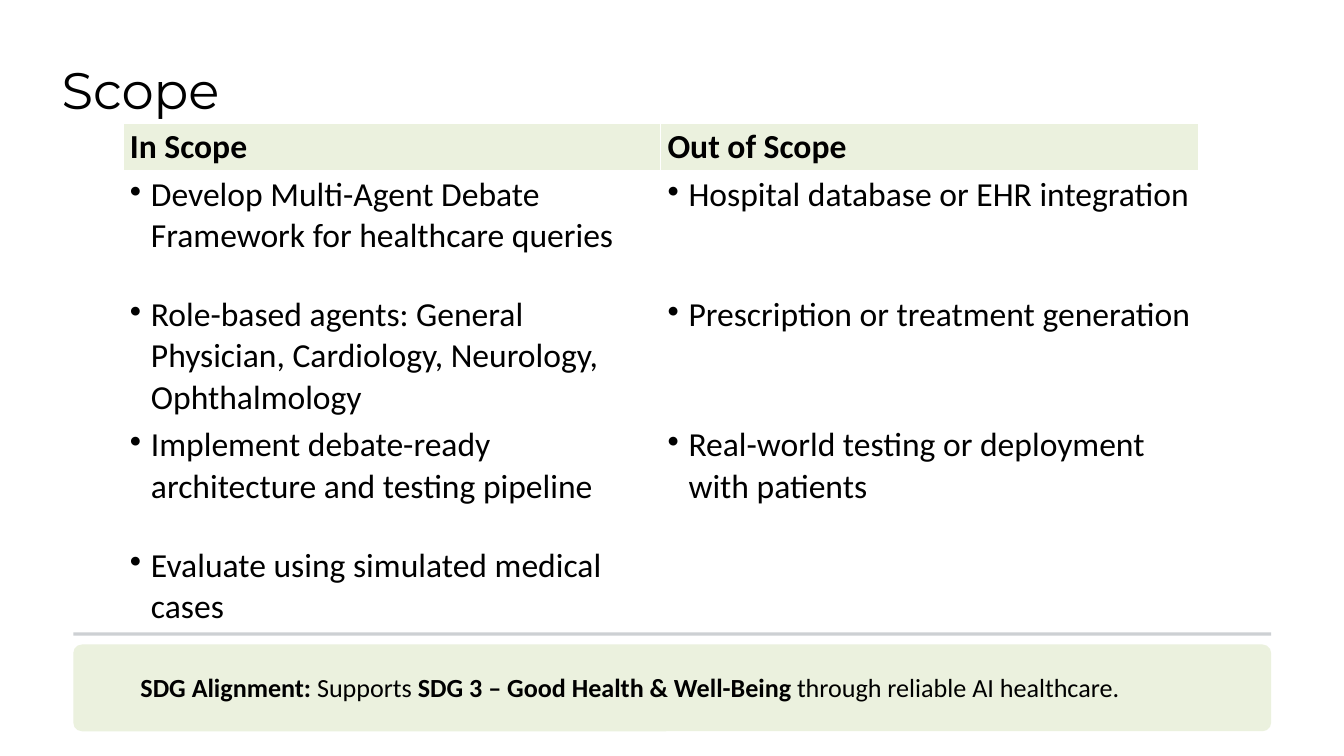
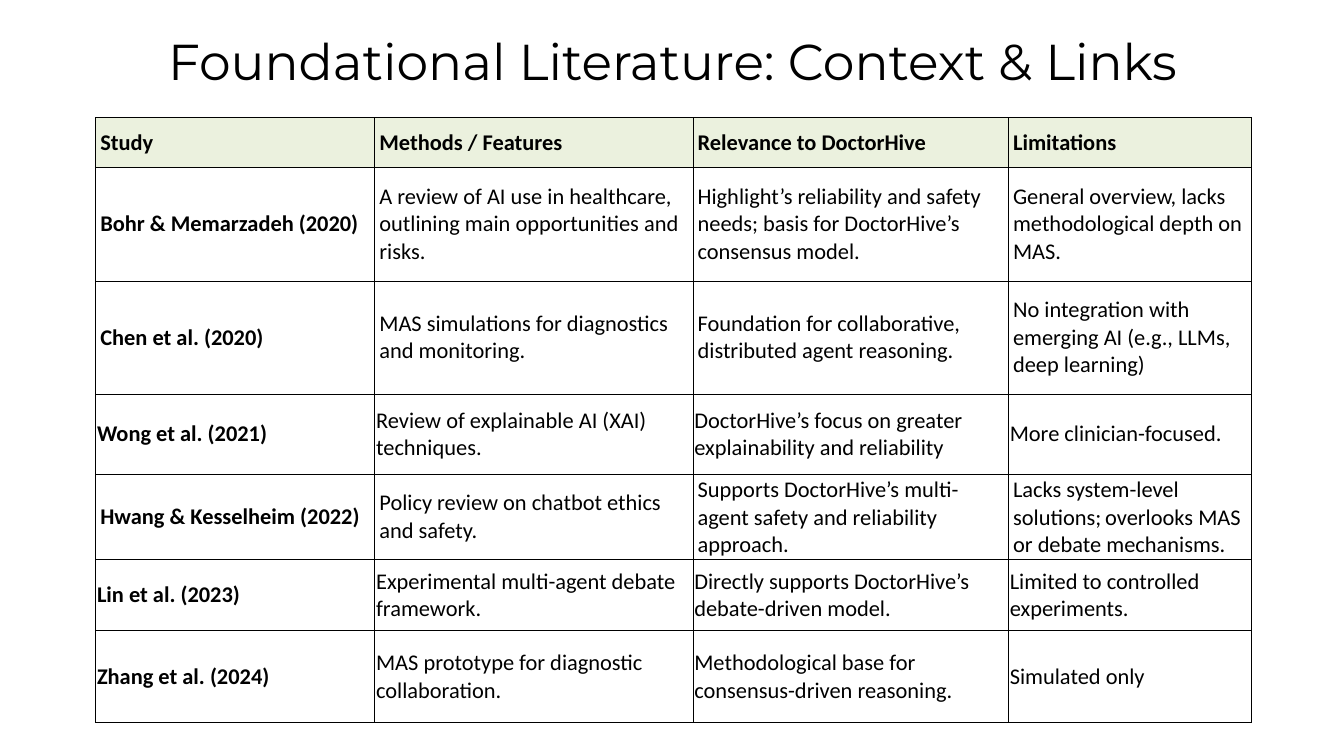
import pptx
import pptx.util
import pptx.dml.color
import pptx.enum.shapes
import pptx.enum.text
import pptx.oxml
import pptx.oxml.ns

Pt = pptx.util.Pt
RGB = pptx.dml.color.RGBColor
ALIGN = pptx.enum.text.PP_ALIGN
SHAPE = pptx.enum.shapes.MSO_SHAPE

BLACK = RGB(0x00, 0x00, 0x00)
WHITE = RGB(0xFF, 0xFF, 0xFF)
GREEN = RGB(0xEB, 0xF1, 0xDE)
SLATE = RGB(0x38, 0x46, 0x53)
BODY = "Calibri"
HEAD = "Montserrat"

WIDE = (5, 2.5)
TIGHT = (1.5, 0.75)

SCOPE = [
    ("In Scope", "Out of Scope"),
    ("Develop Multi-Agent Debate Framework for healthcare queries",
     "Hospital database or EHR integration"),
    ("Role-based agents: General Physician, Cardiology, Neurology, Ophthalmology",
     "Prescription or treatment generation"),
    ("Implement debate-ready architecture and testing pipeline",
     "Real-world testing or deployment with patients"),
    ("Evaluate using simulated medical cases", ""),
]

STUDIES = [
    ("Study", "Methods / Features", "Relevance to DoctorHive", "Limitations"),
    ("Bohr & Memarzadeh (2020)",
     "A review of AI use in healthcare, outlining main opportunities and risks.",
     "Highlight’s reliability and safety needs; basis for DoctorHive’s consensus model.",
     "General overview, lacks methodological depth on MAS."),
    ("Chen et al. (2020)",
     "MAS simulations for diagnostics and monitoring.",
     "Foundation for collaborative, distributed agent reasoning.",
     "No integration with emerging AI (e.g., LLMs, deep learning)"),
    ("Wong et al. (2021)",
     "Review of explainable AI (XAI) techniques.",
     "DoctorHive’s focus on greater explainability and reliability",
     "More clinician-focused."),
    ("Hwang & Kesselheim (2022)",
     "Policy review on chatbot ethics and safety.",
     "Supports DoctorHive’s multi-agent safety and reliability approach.",
     ""),
    ("Lin et al. (2023)",
     "Experimental multi-agent debate framework.",
     "Directly supports DoctorHive’s debate-driven model.",
     "Limited to controlled\nexperiments."),
    ("Zhang et al. (2024)",
     "MAS prototype for diagnostic collaboration.",
     "Methodological base for consensus-driven reasoning.",
     "Simulated only"),
]


def style(run, size, face=BODY, bold=False):
    run.font.size = Pt(size)
    run.font.name = face
    run.font.bold = bold
    run.font.color.rgb = BLACK


def write(frame, text, size, face=BODY, bold=False):
    frame.text = text
    for para in frame.paragraphs:
        for run in para.runs:
            style(run, size, face, bold)


def mix(para, parts):
    for text, size, bold in parts:
        run = para.add_run()
        run.text = text
        style(run, size, bold=bold)


def add_box(slide, left, top, width, height):
    frame = slide.shapes.add_textbox(Pt(left), Pt(top), Pt(width), Pt(height)).text_frame
    frame.word_wrap = True
    frame.margin_left = frame.margin_right = 0
    frame.margin_top = frame.margin_bottom = 0
    return frame


def add_title(slide, text, left, top, width, size, align):
    frame = add_box(slide, left, top, width, 67)
    write(frame, text, size, HEAD)
    para = frame.paragraphs[0]
    para.alignment = align
    para.line_spacing = Pt(69.4)


def add_bar(slide, kind, top, height, color):
    bar = slide.shapes.add_shape(kind, Pt(78.5), Pt(top), Pt(1283.5), Pt(height))
    bar.shadow.inherit = False
    bar.fill.solid()
    bar.fill.fore_color.rgb = color
    bar.line.fill.background()
    return bar


def fade(shape, percent):
    color = shape.fill._xPr.find(".//" + pptx.oxml.ns.qn("a:srgbClr"))
    alpha = pptx.oxml.parse_xml(
        f'<a:alpha {pptx.oxml.ns.nsdecls("a")} val="{percent * 1000}"/>')
    color.append(alpha)


def edge(cell, color, low=1):
    props = cell._tc.get_or_add_tcPr()
    for spot, side in enumerate("LRTB"):
        width = Pt(low if side == "B" else 1)
        props.insert(spot, pptx.oxml.parse_xml(
            f'<a:ln{side} {pptx.oxml.ns.nsdecls("a")} w="{width}"><a:solidFill>'
            f'<a:srgbClr val="{color}"/></a:solidFill></a:ln{side}>'))


def bullet(para):
    props = para._p.get_or_add_pPr()
    props.set("marL", str(Pt(22.5)))
    props.set("indent", str(Pt(-22.5)))
    props.append(pptx.oxml.parse_xml(
        f'<a:buChar {pptx.oxml.ns.nsdecls("a")} char="•"/>'))


def add_grid(slide, rows, left, top, widths, heights, size):
    table = slide.shapes.add_table(
        len(rows), len(widths), Pt(left), Pt(top),
        Pt(sum(widths)), Pt(sum(heights))).table
    table.horz_banding = False
    for col, width in zip(table.columns, widths):
        col.width = Pt(width)
    for row, height in zip(table.rows, heights):
        row.height = Pt(height)
    for r, texts in enumerate(rows):
        for c, text in enumerate(texts):
            cell = table.cell(r, c)
            write(cell.text_frame, text, size, bold=r == 0)
            if r == 0:
                cell.fill.solid()
                cell.fill.fore_color.rgb = GREEN
            else:
                cell.fill.background()
    return table


def add_scope(slide):
    table = add_grid(slide, SCOPE, 132, 132, [576, 576],
                     [47.5, 129, 137, 129, 103.5], 36)
    for r, row in enumerate(table.rows):
        for cell in row.cells:
            edge(cell, WHITE, 3 if r == 0 else 1)
            if r and cell.text_frame.text:
                bullet(cell.text_frame.paragraphs[0])


def add_studies(slide):
    table = add_grid(slide, STUDIES, 102.5, 126, [299, 341, 338, 260],
                     [53.5, 121.5, 121.5, 85.5, 85.5, 76.5, 98.5], 24)
    mix(table.cell(4, 3).text_frame.paragraphs[0], [
        ("Lacks system-level solutions;", 24, False),
        (" ", 18, False),
        ("overlooks MAS or debate mechanisms.", 24, False)])
    for r, row in enumerate(table.rows):
        side, end = TIGHT if r in (3, 5, 6) else WIDE
        for cell in row.cells:
            cell.vertical_anchor = pptx.enum.text.MSO_ANCHOR.MIDDLE
            cell.margin_left = cell.margin_right = Pt(side)
            cell.margin_top = cell.margin_bottom = Pt(end)
            edge(cell, BLACK)
        for run in row.cells[0].text_frame.paragraphs[0].runs:
            run.font.bold = True


def add_goal(slide):
    fade(add_bar(slide, SHAPE.RECTANGLE, 677.5, 3.5, SLATE), 25)
    panel = add_bar(slide, SHAPE.ROUNDED_RECTANGLE, 690.5, 93, GREEN)
    panel.adjustments[0] = 0.1
    para = add_box(slide, 150.5, 720, 1188.5, 33).paragraphs[0]
    para.line_spacing = Pt(33.1)
    mix(para, [
        ("SDG Alignment:", 28, True),
        (" Supports ", 28, False),
        ("SDG 3 – Good Health & Well-Being", 28, True),
        (" through reliable AI healthcare.", 28, False)])


def main():
    deck = pptx.Presentation()
    deck.slide_width = Pt(1440)
    deck.slide_height = Pt(810)
    blank = deck.slide_layouts[6]

    scope = deck.slides.add_slide(blank)
    add_scope(scope)
    add_title(scope, "Scope", 66, 58.5, 558, 55, ALIGN.LEFT)
    add_goal(scope)

    studies = deck.slides.add_slide(blank)
    add_title(studies, "Foundational Literature: Context & Links",
              68.5, 27.5, 1304, 54, ALIGN.CENTER)
    add_studies(studies)

    deck.save("out.pptx")


if __name__ == "__main__":
    main()
